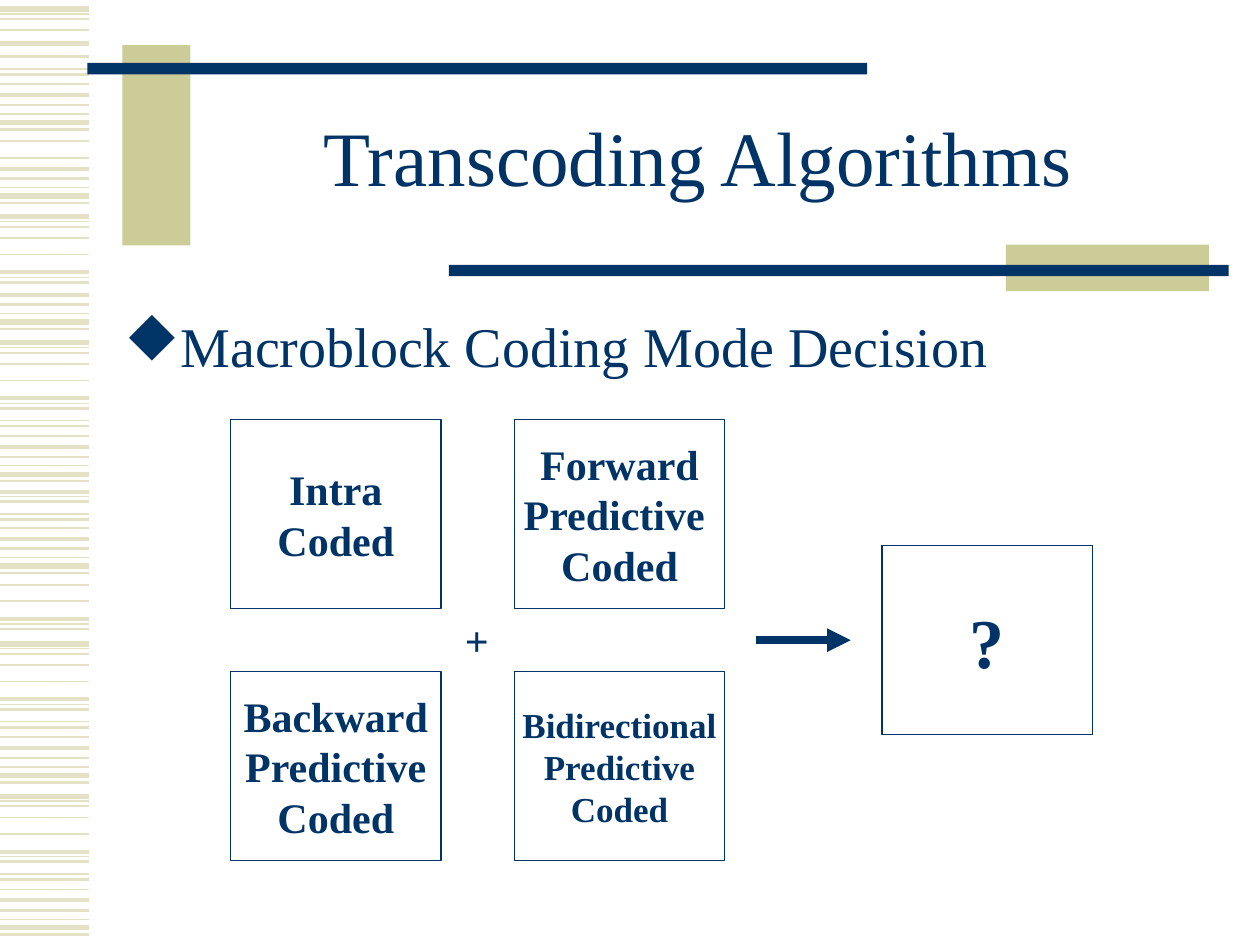
from dataclasses import dataclass

from lxml.etree import SubElement
from pptx import Presentation
from pptx.dml.color import RGBColor as RGB
from pptx.enum.shapes import MSO_CONNECTOR as CONNECTOR, MSO_SHAPE as SHAPE
from pptx.enum.text import MSO_ANCHOR as ANCHOR, PP_ALIGN as ALIGN
from pptx.oxml.ns import qn
from pptx.util import Cm, Pt


@dataclass(frozen=True)
class Theme:
    font: str = "Times New Roman"
    bullet_font: str = "Wingdings"
    diamond: str = "u"
    navy: str = "003366"
    khaki: str = "CCCC99"
    stripe: str = "E3E2C7"
    paper: str = "FFFFFF"
    title: int = 44
    body: int = 32
    mode: int = 24
    mode_small: int = 20
    question: int = 40


@dataclass(frozen=True)
class Box:
    left: float
    top: float
    width: float
    height: float

    def inner(self, dx, dy, width, height):
        return Box(self.left + dx, self.top + dy, width, height)

    def lengths(self):
        return [Cm(n) for n in (self.left, self.top, self.width, self.height)]


THEME = Theme()

BAND = [(0, 1), (0.22, 2.25), (0.42, 1.5), (0.6, 0.75), (0.77, 3), (0.91, 1.5)]
LONG_BAND = [(0, 3), (0.1, 0.75), (0.2, 1), (0.43, 1), (0.76, 1),
             (1.12, 2.25), (1.22, 0.75), (1.32, 1.5), (1.57, 0.75), (1.68, 1.5)]
STRIPES = [
    (0.18, LONG_BAND[:4]), (0.1, BAND[4:5]), (-0.18, LONG_BAND[7:]),
    (1.7, BAND), (2.08, LONG_BAND[4:5]), (3.18, BAND),
    (4.37, LONG_BAND[:8]), (5.72, BAND[1:]), (6.91, LONG_BAND),
    (8.79, BAND), (8.79, LONG_BAND[5:]), (10.64, BAND),
    (11.36, LONG_BAND[3:8]), (12.98, LONG_BAND), (14.86, BAND),
    (16.05, LONG_BAND), (17.93, BAND),
]


def write(frame, text, *, size, bold=False, align=ALIGN.LEFT, anchor=ANCHOR.TOP,
          wrap=True, spacing=None, before=None, bullet=None, indent=0.96):
    frame.word_wrap = wrap
    frame.vertical_anchor = anchor
    frame.text = text
    for paragraph in frame.paragraphs:
        paragraph.alignment = align
        paragraph.line_spacing = spacing
        if before:
            paragraph.space_before = Pt(before)
        for run in paragraph.runs:
            font = run.font
            font.name, font.size, font.bold = THEME.font, Pt(size), bold
            font.color.rgb = RGB.from_string(THEME.navy)
        if bullet:
            props = paragraph._p.get_or_add_pPr()
            props.set("marL", str(Cm(indent)))
            props.set("indent", str(-Cm(indent)))
            colour = SubElement(props, qn("a:buClr"))
            SubElement(colour, qn("a:srgbClr"), val=THEME.navy)
            SubElement(props, qn("a:buFont"), typeface=THEME.bullet_font,
                       pitchFamily="2", charset="2")
            SubElement(props, qn("a:buChar"), char=bullet)


def add_text(slide, box, text, **style):
    write(slide.shapes.add_textbox(*box.lengths()).text_frame, text, **style)


def add_rect(slide, box, fill, outline=None):
    rect = slide.shapes.add_shape(SHAPE.RECTANGLE, *box.lengths())
    rect.shadow.inherit = False
    rect.fill.solid()
    rect.fill.fore_color.rgb = RGB.from_string(fill)
    if outline:
        rect.line.color.rgb = RGB.from_string(outline)
        rect.line.width = Pt(0.75)
    else:
        rect.line.fill.background()
    return rect


def add_rule(slide, left, right, y, colour, weight, arrow=False):
    rule = slide.shapes.add_connector(
        CONNECTOR.STRAIGHT, Cm(left), Cm(y), Cm(right), Cm(y))
    rule.line.color.rgb = RGB.from_string(colour)
    rule.line.width = Pt(weight)
    if arrow:
        SubElement(rule.line._get_or_add_ln(), qn("a:tailEnd"), type="triangle")
    SubElement(rule._element.spPr, qn("a:effectLst"))


def draw_striped_edge(slide, box):
    for start, band in STRIPES:
        for offset, weight in band:
            add_rule(slide, box.left, box.left + box.width,
                     box.top + start + offset, THEME.stripe, weight)


def draw_header(slide, box):
    bar_width, bar_height = 15.72, 0.23
    add_rect(slide, box.inner(0.71, 0, 1.37, 4.04), THEME.khaki)
    add_rect(slide, box.inner(0, 0.36, bar_width, bar_height), THEME.navy)
    add_rect(slide, box.inner(18.52, 4.02, 4.09, 0.94), THEME.khaki)
    add_rect(slide, box.inner(box.width - bar_width, 4.43, bar_width, bar_height),
             THEME.navy)
    add_text(slide, box.inner(2.06, 0.79, 20.5, 3.18), "Transcoding Algorithms",
             size=THEME.title, align=ALIGN.CENTER, anchor=ANCHOR.MIDDLE, spacing=0.85)


def draw_topic(slide, box):
    add_text(slide, box, "Macroblock Coding Mode Decision",
             size=THEME.body, before=8, bullet=THEME.diamond)


def draw_mode_decision(slide, box):
    width, height, column_gap, row_gap = 4.24, 3.81, 1.48, 1.27
    middle = box.height / 2
    modes = [
        (0, 0, "Intra\nCoded", THEME.mode),
        (0, 1, "Backward\nPredictive\nCoded", THEME.mode),
        (1, 1, "Bidirectional\nPredictive\nCoded", THEME.mode_small),
        (1, 0, "Forward\nPredictive \nCoded", THEME.mode),
    ]
    cells = [(column * (width + column_gap), row * (height + row_gap), text, size)
             for column, row, text, size in modes]
    cells.append((box.width - width, middle - height / 2, "?", THEME.question))
    for dx, dy, text, size in cells:
        cell = add_rect(slide, box.inner(dx, dy, width, height),
                        THEME.paper, THEME.navy)
        write(cell.text_frame, text, size=size, bold=True, wrap=False,
              align=ALIGN.CENTER, anchor=ANCHOR.MIDDLE)
    add_text(slide, box.inner(4.47, height, 0.99, row_gap), "+",
             size=THEME.mode, bold=True, wrap=False)
    add_rule(slide, box.left + 10.59, box.left + 12.5, box.top + middle,
             THEME.navy, 4.5, arrow=True)


def main():
    deck = Presentation()
    deck.slide_width, deck.slide_height = Cm(25.4), Cm(19.05)
    slide = deck.slides.add_slide(deck.slide_layouts[6])
    draw_striped_edge(slide, Box(0, 0, 1.8, 19.05))
    draw_header(slide, Box(1.76, 0.91, 23.01, 4.96))
    draw_topic(slide, Box(2.26, 6.15, 22.1, 10.77))
    draw_mode_decision(slide, Box(4.65, 8.46, 17.37, 8.89))
    deck.save("out.pptx")


if __name__ == "__main__":
    main()
